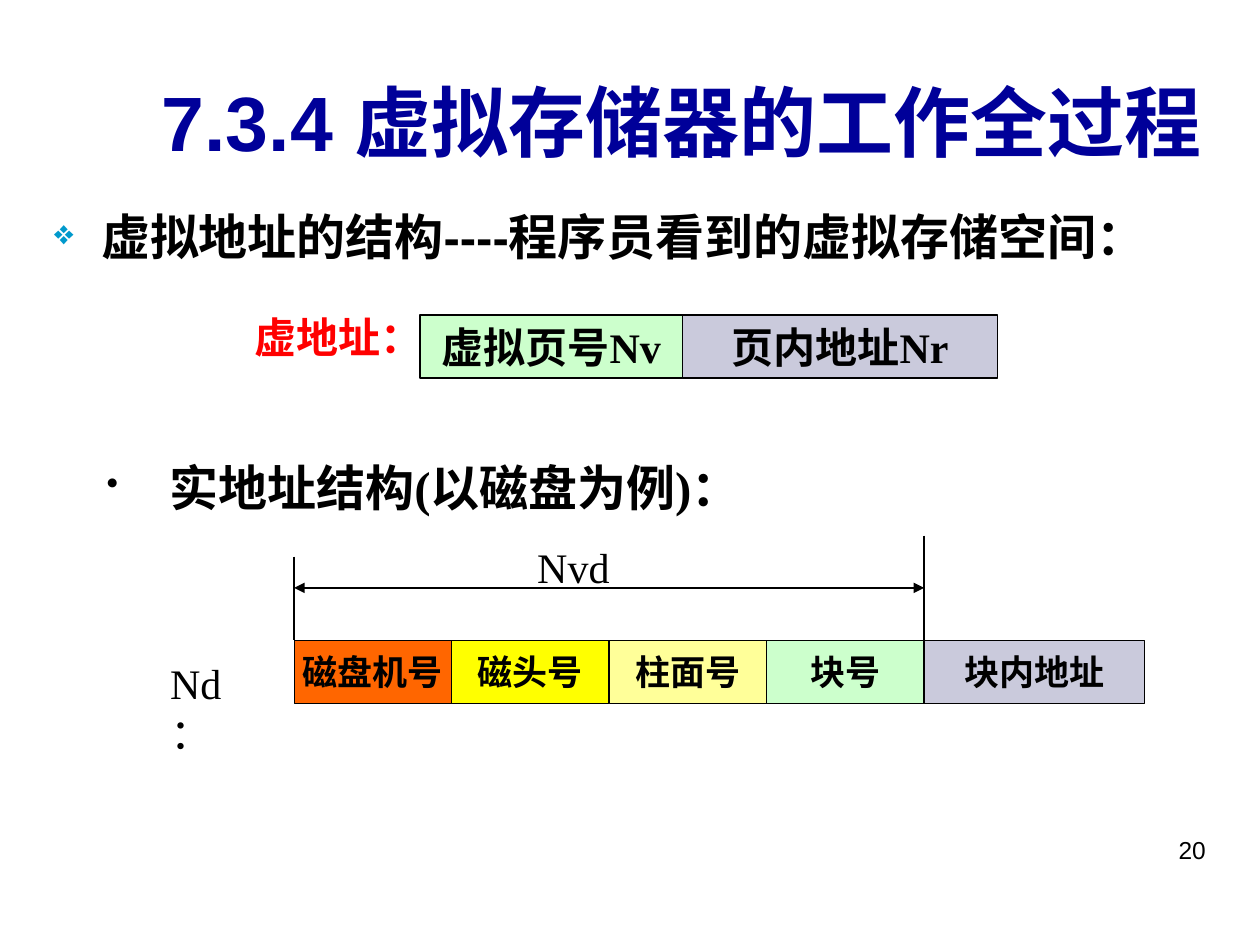
from lxml.etree import SubElement as Sub
from pptx import Presentation
from pptx.dml.color import RGBColor as Rgb
from pptx.enum.shapes import MSO_CONNECTOR as Conn, MSO_SHAPE as Geo
from pptx.enum.text import MSO_ANCHOR as Anchor, PP_ALIGN as Align
from pptx.oxml.ns import qn
from pptx.util import Cm, Pt

HUES = {"ink": "000000", "navy": "000099", "teal": "0099CC", "red": "FF0000",
        "mint": "CCFFCC", "lilac": "CACADC", "flame": "FF6600",
        "sun": "FFFF00", "cream": "FFFF99"}
SANS, SERIF = "Arial", "Times New Roman"

# Font formats: name, size, bold
STYLES = {
    "title": {"name": SANS, "size": Pt(44), "bold": True},
    "body": {"name": SANS, "size": Pt(28), "bold": True},
    "real": {"name": SERIF, "size": Pt(28), "bold": True},
    "label": {"name": SERIF, "size": Pt(24), "bold": True},
    "plain": {"name": SERIF, "size": Pt(24), "bold": False},
    "cell": {"name": SERIF, "size": Pt(20), "bold": True},
    "page": {"name": SANS, "size": Pt(14), "bold": False},
}

# Text: words, (left, top, width, height), style, hue, align, anchor, bullet
# Bullet: sign, hue, hanging indent
TEXTS = [
    ("20", (18.21, 16.71, 6.35, 1.32), "page", "ink", Align.RIGHT, Anchor.TOP, None),
    ("7.3.4 虚拟存储器的工作全过程", (2.74, 0.84, 22.02, 3.18),
     "title", "navy", Align.CENTER, Anchor.MIDDLE, None),
    ("虚拟地址的结构----程序员看到的虚拟存储空间：", (0.84, 4.04, 23.72, 1.47),
     "body", "ink", Align.LEFT, Anchor.TOP, ("❖", "teal", 0.95)),
    ("虚地址：", (4.88, 6.15, 4.65, 1.27), "label", "red", Align.LEFT, Anchor.TOP, None),
    ("实地址结构(以磁盘为例)：", (1.9, 9.1, 19.26, 1.45),
     "real", "ink", Align.LEFT, Anchor.TOP, ("•", "ink", 1.27)),
    ("Nd：", (3.18, 13.12, 2.33, 1.27), "plain", "ink", Align.LEFT, Anchor.TOP, None),
    ("Nvd", (10.58, 10.8, 4.23, 1.27), "plain", "ink", Align.LEFT, Anchor.TOP, None),
]

# Address rows: left, top, style, fields (words, hue, width)
LEFT, SPAN, TOP, HIGH = 5.93, 12.7, 12.91, 1.27
PART = SPAN / 4
ROWS = [
    (8.47, 6.35, "label", [("虚拟页号Nv", "mint", 5.29), ("页内地址Nr", "lilac", 6.35)]),
    (LEFT, TOP, "cell", [("磁盘机号", "flame", PART), ("磁头号", "sun", PART),
                         ("柱面号", "cream", PART), ("块号", "mint", PART),
                         ("块内地址", "lilac", 4.45)]),
]

# Lines: from x, from y, to x, to y, arrows at both ends
RIGHT, MARK = LEFT + SPAN, 11.85
LINES = [
    (LEFT, 11.22, LEFT, TOP, False),
    (RIGHT, 10.8, RIGHT, TOP, False),
    (LEFT, MARK, RIGHT, MARK, True),
]


def hue(key):
    return Rgb.from_string(HUES[key])


def assign(item, values):
    for key, value in values.items():
        setattr(item, key, value)


def write(shape, words, style, tint, align, anchor, wrap):
    frame = shape.text_frame
    assign(frame, {"word_wrap": wrap, "vertical_anchor": anchor})
    para = frame.paragraphs[0]
    para.alignment = align
    run = para.add_run()
    run.text = words
    assign(run.font, STYLES[style])
    run.font.color.rgb = hue(tint)
    return para


def add_bullet(para, sign, tint, hang):
    props = para._p.get_or_add_pPr()
    props.set("marL", str(Cm(hang)))
    props.set("indent", str(-Cm(hang)))
    Sub(Sub(props, qn("a:buClr")), qn("a:srgbClr"), val=HUES[tint])
    Sub(props, qn("a:buSzPct"), val="70000")
    Sub(props, qn("a:buChar"), char=sign)


def add_text(slide, words, box, style, tint, align, anchor, bullet):
    shape = slide.shapes.add_textbox(*map(Cm, box))
    para = write(shape, words, style, tint, align, anchor, True)
    if bullet:
        add_bullet(para, *bullet)


def add_row(slide, left, top, style, fields):
    for words, fill, width in fields:
        box = map(Cm, (left, top, width, HIGH))
        shape = slide.shapes.add_shape(Geo.RECTANGLE, *box)
        shape.shadow.inherit = False
        shape.fill.solid()
        shape.fill.fore_color.rgb = hue(fill)
        shape.line.color.rgb = hue("ink")
        shape.line.width = Pt(0.75)
        write(shape, words, style, "ink", Align.CENTER, Anchor.MIDDLE, False)
        left += width


def add_line(slide, *ends, arrows):
    link = slide.shapes.add_connector(Conn.STRAIGHT, *map(Cm, ends))
    link.line.color.rgb = hue("ink")
    link.line.width = Pt(1)
    if arrows:
        for end in ("a:headEnd", "a:tailEnd"):
            Sub(link.line._get_or_add_ln(), qn(end), type="triangle")
    Sub(link._element.spPr, qn("a:effectLst"))


def main():
    deck = Presentation()
    assign(deck, {"slide_width": Cm(25.4), "slide_height": Cm(19.05)})
    slide = deck.slides.add_slide(deck.slide_layouts[6])
    for row in ROWS:
        add_row(slide, *row)
    for *ends, arrows in LINES:
        add_line(slide, *ends, arrows=arrows)
    for text in TEXTS:
        add_text(slide, *text)
    deck.save("out.pptx")


if __name__ == "__main__":
    main()
